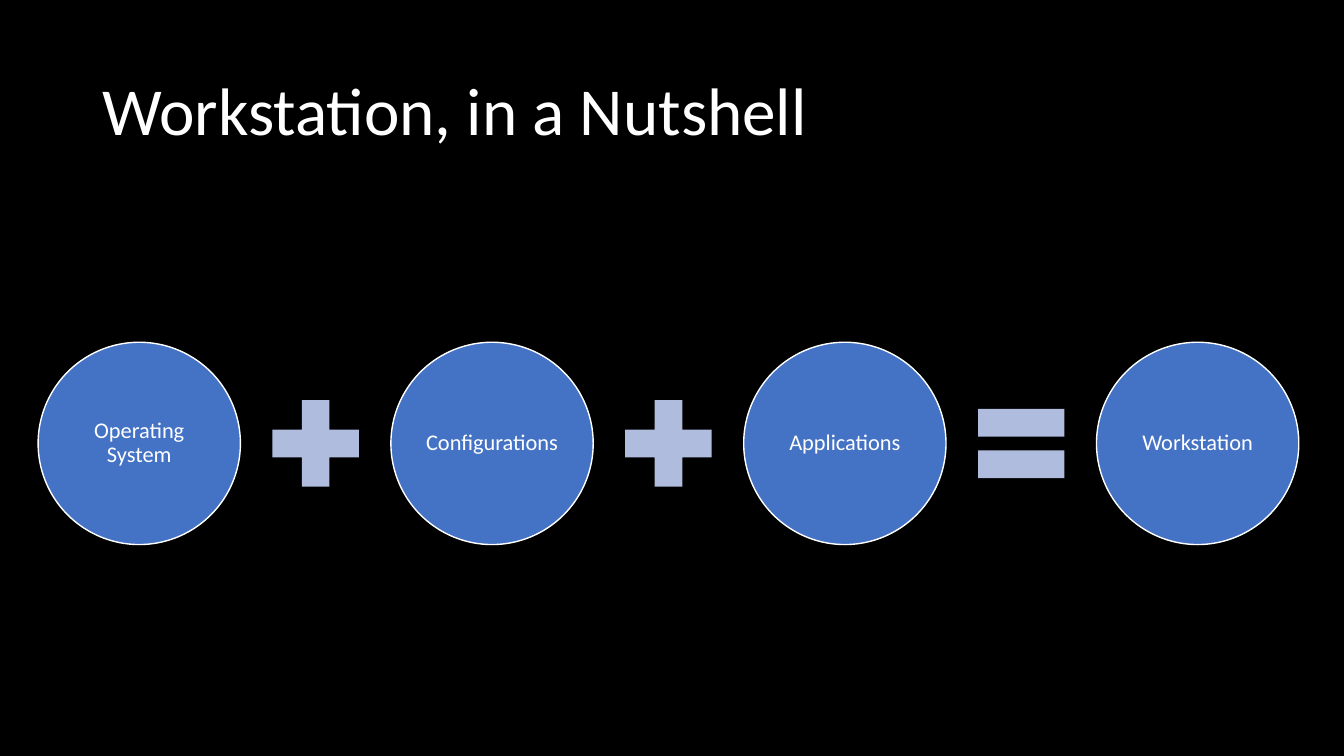
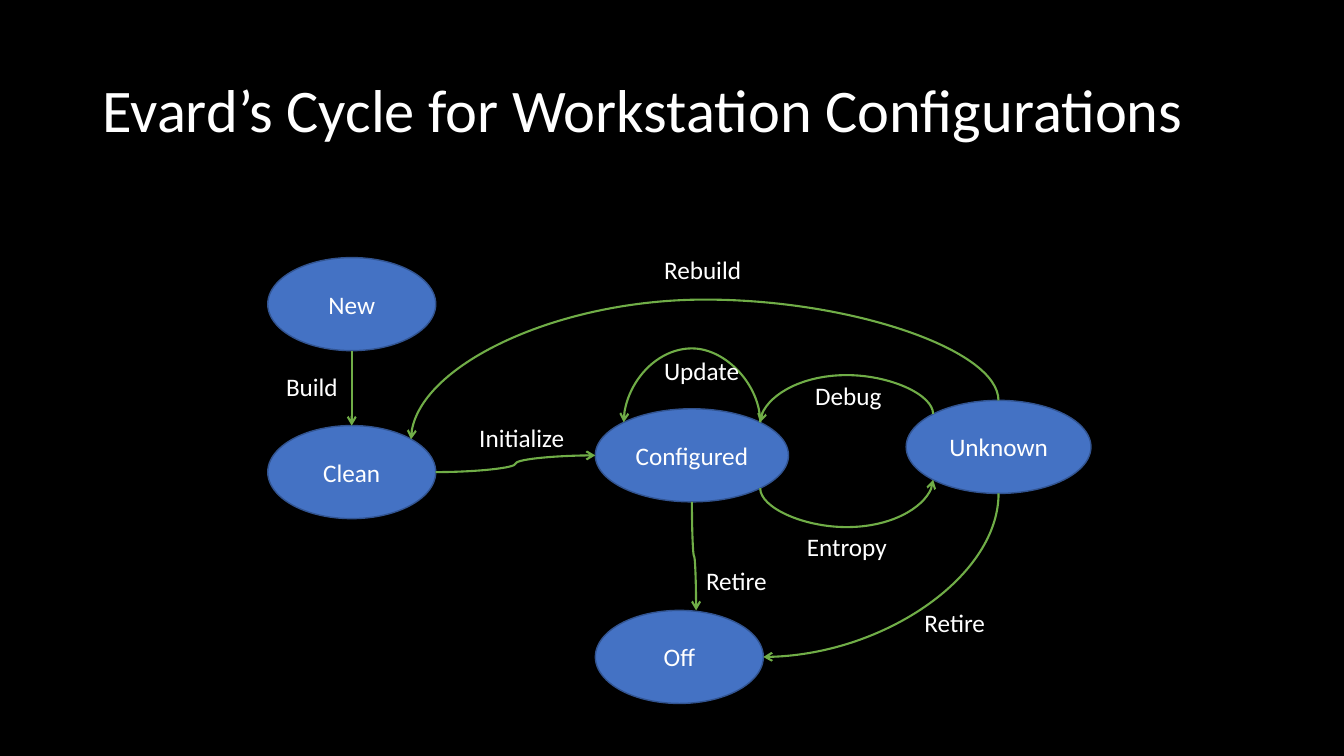
"""Build two slides: the parts of a workstation and its configuration cycle."""
from dataclasses import dataclass
from typing import NamedTuple, Optional

from lxml import etree
from pptx import Presentation
from pptx.dml.color import RGBColor
from pptx.enum.shapes import MSO_CONNECTOR, MSO_SHAPE
from pptx.enum.text import MSO_ANCHOR, MSO_AUTO_SIZE, PP_ALIGN
from pptx.oxml.ns import qn
from pptx.util import Pt

OVAL, PLUS, EQUAL = MSO_SHAPE.OVAL, MSO_SHAPE.MATH_PLUS, MSO_SHAPE.MATH_EQUAL
STRAIGHT, CURVE = MSO_CONNECTOR.STRAIGHT, MSO_CONNECTOR.CURVE
MIDDLE, LEFT, CENTER = MSO_ANCHOR.MIDDLE, PP_ALIGN.LEFT, PP_ALIGN.CENTER
FIXED, GROW = MSO_AUTO_SIZE.NONE, MSO_AUTO_SIZE.SHAPE_TO_FIT_TEXT
TITLE_ONLY = 5
TOP, TOP_LEFT, SIDE_LEFT, BOTTOM_LEFT, BOTTOM, BOTTOM_RIGHT, SIDE_RIGHT, TOP_RIGHT = range(8)
DIAGONAL = 0.5 ** 0.5
SITE_DIRECTIONS = (
    (0, -1), (-DIAGONAL, -DIAGONAL), (-1, 0), (-DIAGONAL, DIAGONAL),
    (0, 1), (DIAGONAL, DIAGONAL), (1, 0), (DIAGONAL, -DIAGONAL),
)
MINIMUM_DEPTH = 0.12


@dataclass(frozen=True)
class Theme:
    """Colours, font and type sizes of the presentation."""
    background: RGBColor = RGBColor(0x00, 0x00, 0x00)
    text: RGBColor = RGBColor(0xFF, 0xFF, 0xFF)
    oval: RGBColor = RGBColor(0x44, 0x72, 0xC4)
    oval_border: RGBColor = RGBColor(0x32, 0x54, 0x91)
    operator: RGBColor = RGBColor(0xB0, 0xBC, 0xDE)
    arrow: RGBColor = RGBColor(0x70, 0xAD, 0x47)
    font: str = "Calibri"
    title_size: float = 48
    long_title_size: float = 43.2
    part_size: float = 16
    state_size: float = 18


THEME = Theme()


class State(NamedTuple):
    """An oval of the cycle."""
    name: str
    left: float
    top: float
    width: float
    height: float = 66.5

    def site(self, index: int) -> tuple[float, float]:
        """Return the point of a connection site."""
        across, down = SITE_DIRECTIONS[index]
        return (self.left + self.width / 2 * (1 + across),
                self.top + self.height / 2 * (1 + down))


class Transition(NamedTuple):
    """An arrow between two states; bend is the offset of its middle from its start."""
    source: str
    source_site: int
    target: str
    target_site: Optional[int]
    rotation: int = 0
    bend: Optional[float] = None
    preset: str = "curvedConnector3"
    loose_end: tuple[float, float] = (0, 0)


class Label(NamedTuple):
    """The caption of a transition."""
    text: str
    left: float
    top: float
    width: float


PARTS = ("Operating System", "Configurations", "Applications", "Workstation")
OPERATORS = (PLUS, PLUS, EQUAL)
PART_LEFT, PART_PITCH, PART_SIZE = 27.25, 252, 144.5
OPERATOR_LEFT, OPERATOR_SIZE, EQUATION_MIDDLE = 183.5, 84, 316.75

STATES = (
    State("New", 191.25, 184, 120),
    State("Clean", 191.25, 304, 120),
    State("Off", 425.25, 436, 120),
    State("Configured", 425.25, 292, 138),
    State("Unknown", 647.25, 286, 132),
)
TRANSITIONS = (
    Transition("New", BOTTOM, "Clean", TOP, preset="line"),
    Transition("Unknown", TOP, "Clean", TOP_RIGHT, 270, -72),
    Transition("Clean", SIDE_RIGHT, "Configured", SIDE_LEFT),
    Transition("Configured", TOP_RIGHT, "Configured", TOP_LEFT, 270, -56),
    Transition("Configured", BOTTOM, "Off", None, 270, loose_end=(497.25, 436)),
    Transition("Unknown", BOTTOM, "Off", SIDE_RIGHT, 90, preset="curvedConnector2"),
    Transition("Configured", BOTTOM_RIGHT, "Unknown", BOTTOM_LEFT, 90, 27.75),
    Transition("Unknown", TOP_LEFT, "Configured", TOP_RIGHT, 270, -27.75),
)
LABELS = (
    Label("Build", 197.25, 262, 56),
    Label("Rebuild", 467.25, 178, 74),
    Label("Update", 467.25, 250.25, 72),
    Label("Initialize", 335.25, 298, 80),
    Label("Retire", 497.25, 400.25, 64),
    Label("Retire", 653.25, 430.25, 64),
    Label("Entropy", 569.25, 376, 76),
    Label("Debug", 575.25, 268, 66),
)


def write_text(frame, text: str, size: float, alignment=LEFT):
    """Write one styled paragraph and return it."""
    frame.text = text
    paragraph = frame.paragraphs[0]
    paragraph.alignment = alignment
    paragraph.font.name = THEME.font
    paragraph.font.size = Pt(size)
    paragraph.font.color.rgb = THEME.text
    return paragraph


def add_titled_slide(presentation, text: str, size: float, width: float):
    """Add a slide and format its title."""
    slide = presentation.slides.add_slide(presentation.slide_layouts[TITLE_ONLY])
    title = slide.shapes.title
    title.left, title.top, title.width, title.height = Pt(66), Pt(28.75), Pt(width), Pt(104.5)
    paragraph = write_text(title.text_frame, text, size)
    paragraph.line_spacing = 0.9
    title.text_frame.vertical_anchor = MIDDLE
    title.text_frame.auto_size = FIXED
    return slide


def add_filled_shape(slide, kind, left: float, top: float, width: float, height: float,
                     fill: RGBColor, border: Optional[RGBColor] = None):
    """Add a flat preset shape."""
    shape = slide.shapes.add_shape(kind, Pt(left), Pt(top), Pt(width), Pt(height))
    shape.shadow.inherit = False
    shape.fill.solid()
    shape.fill.fore_color.rgb = fill
    if border is None:
        shape.line.fill.background()
    else:
        shape.line.color.rgb = border
        shape.line.width = Pt(1)
    return shape


def add_part(slide, text: str, left: float) -> None:
    """Add one circle of the equation."""
    circle = add_filled_shape(slide, OVAL, left, EQUATION_MIDDLE - PART_SIZE / 2,
                              PART_SIZE, PART_SIZE, THEME.oval, THEME.text)
    frame = circle.text_frame
    frame.margin_left = frame.margin_right = frame.margin_top = frame.margin_bottom = Pt(1.5)
    frame.vertical_anchor = MIDDLE
    paragraph = write_text(frame, text, THEME.part_size, CENTER)
    paragraph.line_spacing = 0.9
    paragraph.space_after = Pt(5.5)


def add_state(slide, state: State):
    """Add one oval of the cycle."""
    oval = add_filled_shape(slide, OVAL, state.left, state.top, state.width, state.height,
                            THEME.oval, THEME.oval_border)
    oval.text_frame.vertical_anchor = MIDDLE
    write_text(oval.text_frame, state.name, THEME.state_size, CENTER)
    return oval


def place_curve(slide, transition: Transition, start: tuple[float, float],
                end: tuple[float, float]):
    """Add a curved connector, turned so that it leaves in the right direction."""
    across, down = end[0] - start[0], end[1] - start[1]
    middle_x, middle_y = (start[0] + end[0]) / 2, (start[1] + end[1]) / 2
    depth = down if abs(down) > MINIMUM_DEPTH else -MINIMUM_DEPTH
    run, rise = across, down
    if transition.rotation:
        turn = 1 if transition.rotation == 90 else -1
        run, rise = turn * depth, -turn * across
    connector = slide.shapes.add_connector(
        CURVE, Pt(middle_x - run / 2), Pt(middle_y - rise / 2),
        Pt(middle_x + run / 2), Pt(middle_y + rise / 2))
    properties = connector.element.spPr
    if transition.rotation:
        properties.find(qn("a:xfrm")).set("rot", str(transition.rotation * 60000))
    geometry = properties.find(qn("a:prstGeom"))
    geometry.set("prst", transition.preset)
    if transition.bend is not None:
        adjustment = round(transition.bend / depth * 100000)
        etree.SubElement(geometry.find(qn("a:avLst")), qn("a:gd"),
                         name="adj1", fmla=f"val {adjustment}")
    return connector


def add_transition(slide, transition: Transition, states: dict, ovals: dict) -> None:
    """Add an arrow joined to the connection sites of its ovals."""
    start = states[transition.source].site(transition.source_site)
    end = transition.loose_end
    if transition.target_site is not None:
        end = states[transition.target].site(transition.target_site)
    if transition.preset == "line":
        connector = slide.shapes.add_connector(STRAIGHT, *(Pt(value) for value in start + end))
    else:
        connector = place_curve(slide, transition, start, end)
    connector.line.color.rgb = THEME.arrow
    connector.line.width = Pt(1.5)
    properties = connector.element.spPr
    etree.SubElement(properties.find(qn("a:ln")), qn("a:tailEnd"), type="arrow")
    etree.SubElement(properties, qn("a:effectLst"))
    joints = connector.element.find(f"{qn('p:nvCxnSpPr')}/{qn('p:cNvCxnSpPr')}")
    for tag, name, site in (("a:stCxn", transition.source, transition.source_site),
                            ("a:endCxn", transition.target, transition.target_site)):
        if site is not None:
            etree.SubElement(joints, qn(tag), id=str(ovals[name].shape_id), idx=str(site))


def add_label(slide, label: Label) -> None:
    """Add the caption of a transition."""
    box = slide.shapes.add_textbox(Pt(label.left), Pt(label.top), Pt(label.width), Pt(29))
    box.text_frame.word_wrap = True
    box.text_frame.auto_size = GROW
    write_text(box.text_frame, label.text, THEME.state_size)


def build_equation(presentation) -> None:
    """Build the slide that adds up the parts of a workstation."""
    slide = add_titled_slide(presentation, "Workstation, in a Nutshell", THEME.title_size, 828)
    for index, part in enumerate(PARTS):
        add_part(slide, part, PART_LEFT + index * PART_PITCH)
    for index, operator in enumerate(OPERATORS):
        add_filled_shape(slide, operator, OPERATOR_LEFT + index * PART_PITCH,
                         EQUATION_MIDDLE - OPERATOR_SIZE / 2,
                         OPERATOR_SIZE, OPERATOR_SIZE, THEME.operator)


def build_cycle(presentation) -> None:
    """Build the slide of states and transitions."""
    slide = add_titled_slide(presentation, "Evard’s Cycle for Workstation Configurations",
                             THEME.long_title_size, 852.5)
    states = {state.name: state for state in STATES}
    ovals = {state.name: add_state(slide, state) for state in STATES}
    for transition in TRANSITIONS:
        add_transition(slide, transition, states, ovals)
    for label in LABELS:
        add_label(slide, label)


def main() -> None:
    """Build and save the presentation."""
    presentation = Presentation()
    presentation.slide_width, presentation.slide_height = Pt(960), Pt(540)
    background = presentation.slide_master.background.fill
    background.solid()
    background.fore_color.rgb = THEME.background
    build_equation(presentation)
    build_cycle(presentation)
    presentation.save("out.pptx")


if __name__ == "__main__":
    main()
